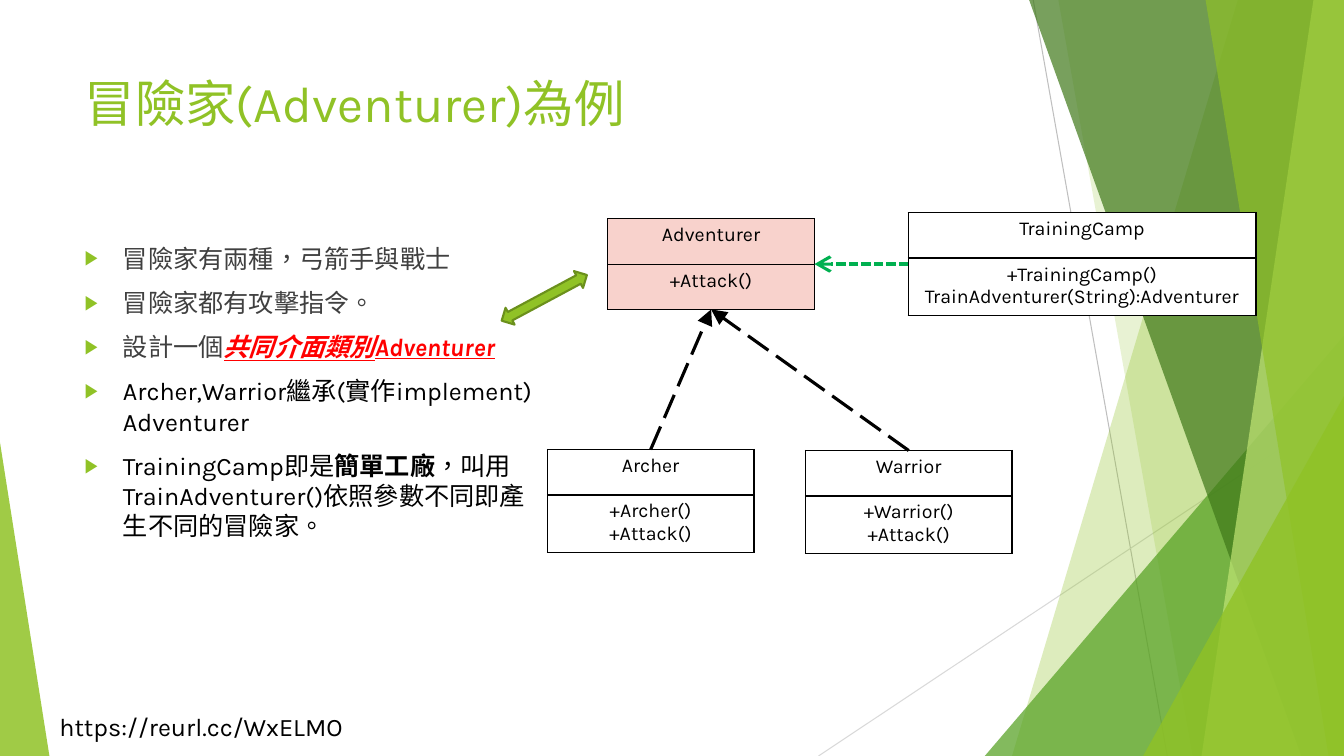
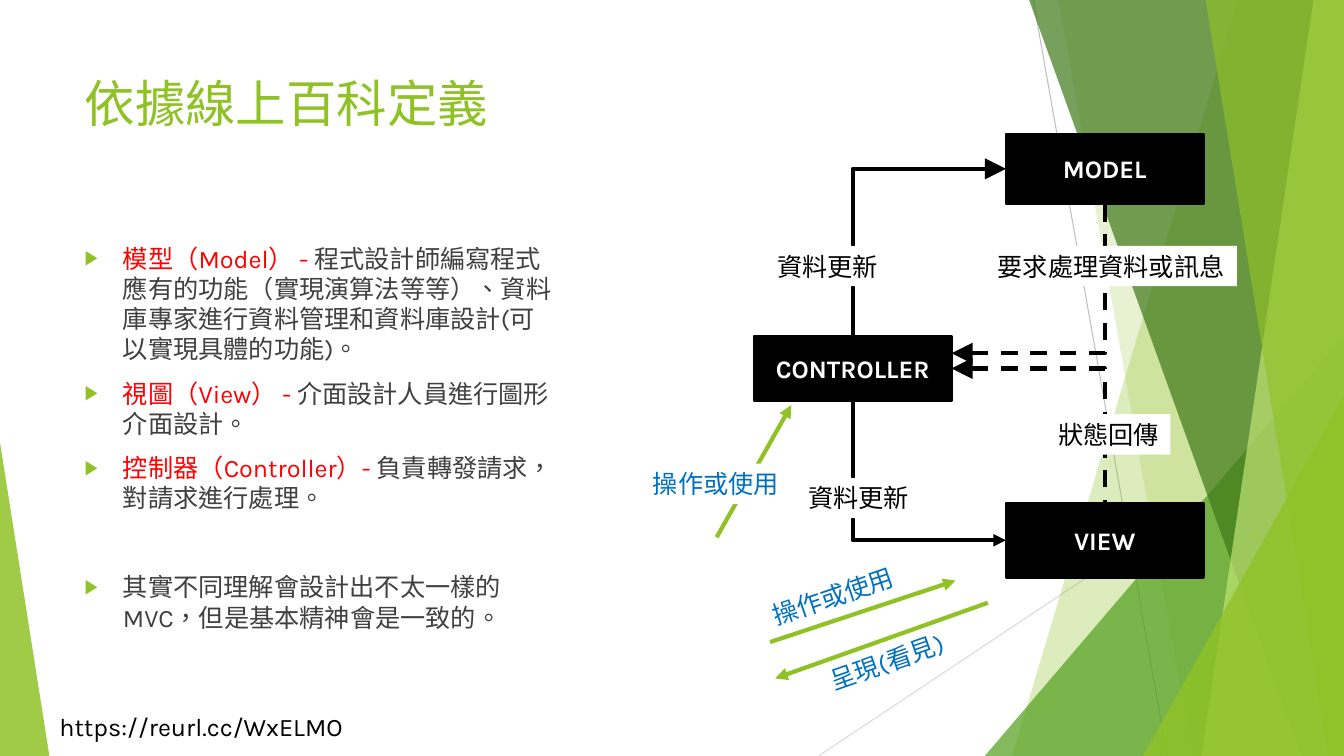
from typing import NamedTuple

from lxml.etree import SubElement
from pptx import Presentation
from pptx.dml.color import RGBColor
from pptx.enum.dml import MSO_LINE as Dash
from pptx.enum.lang import MSO_LANGUAGE_ID as Language
from pptx.enum.shapes import MSO_CONNECTOR as Link, MSO_SHAPE as Preset
from pptx.enum.text import MSO_ANCHOR as Anchor, MSO_AUTO_SIZE as Fit, PP_ALIGN as Align
from pptx.oxml.ns import qn
from pptx.util import Inches, Pt

LEAF, GRASS, FOREST, LIME, MOSS, EMERALD = map(
    RGBColor.from_string, ("90C226", "54A021", "3F7819", "C0E474", "6B901C", "00B050"))
BLACK, INK, SILVER, MIST, WHITE = map(
    RGBColor.from_string, ("000000", "404040", "BFBFBF", "D9D9D9", "FFFFFF"))
RED, BLUE, PINK = map(RGBColor.from_string, ("FF0000", "0070C0", "F8D2CC"))
FONT = "Karla"
CELL = Inches(0.1)
COLUMNS, ROWS = 133.33, 75
TOP, LEFT, BOTTOM, RIGHT = range(4)


class Box(NamedTuple):
    """A rectangle measured in grid cells."""
    left: float
    top: float
    width: float
    height: float

    def inner(self, x, y, width, height):
        """Return a box placed relative to this one."""
        return Box(self.left + x, self.top + y, width, height)

    def side(self, index):
        """Return the middle of a side, numbered as connection sites."""
        x, y = ((0.5, 0), (0, 0.5), (0.5, 1), (1, 0.5))[index]
        return self.left + x * self.width, self.top + y * self.height


SLIDE = Box(0, 0, COLUMNS, ROWS)


def emu(*cells):
    """Turn grid cells into slide lengths."""
    return [round(cell * CELL) for cell in cells]


def style_font(font, size, color, bold=None):
    """Set the shared typeface and language with a size and colour."""
    font.name, font.size, font.bold = FONT, Pt(size), bold
    font.language_id = Language.TRADITIONAL_CHINESE
    font.color.rgb = color


def write(frame, text, size, color, bold=None, align=Align.LEFT, anchor=Anchor.TOP, wrap=True):
    """Fill a text frame with evenly styled text."""
    frame.text = text
    frame.vertical_anchor, frame.word_wrap = anchor, wrap
    for paragraph in frame.paragraphs:
        paragraph.alignment = align
        style_font(paragraph.font, size, color, bold)


def paint(shape, fill, opacity=100, line=None):
    """Give a shape its fill and outline and take its shadow away."""
    shape.shadow.inherit = False
    shape.fill.solid()
    shape.fill.fore_color.rgb = fill
    if opacity < 100:
        color = shape.element.spPr.find(f".//{qn('a:srgbClr')}")
        SubElement(color, qn("a:alpha"), val=str(opacity * 1000))
    if line is None:
        shape.line.fill.background()
    else:
        shape.line.color.rgb, shape.line.width = line, Pt(1.5)


def add_block(slide, box, fill, preset=Preset.RECTANGLE, **look):
    """Add a painted preset shape."""
    block = slide.shapes.add_shape(preset, *emu(*box))
    paint(block, fill, **look)
    return block


def add_link(slide, start, end, color, width, dash=None, arrow=None, size="med",
             tip="tailEnd", kind=Link.STRAIGHT):
    """Add a straight or once-bent line, with an arrowhead at its tip."""
    link = slide.shapes.add_connector(kind, *emu(*start, *end))
    link.line.color.rgb, link.line.width = color, Pt(width)
    if dash is not None:
        link.line.dash_style = dash
    properties = link.element.spPr
    if arrow:
        SubElement(properties.get_or_add_ln(), qn(f"a:{tip}"), type=arrow, w=size, len=size)
    SubElement(properties, qn("a:effectLst"))
    if kind == Link.ELBOW:
        properties.find(qn("a:prstGeom")).set("prst", "bentConnector2")


def add_shard(slide, top_x, bottom_x, color, opacity):
    """Draw a full-height shard reaching the right edge."""
    outline = slide.shapes.build_freeform(*emu(top_x, 0), scale=1.0)
    corners = ((COLUMNS, 0), (COLUMNS, ROWS), (bottom_x, ROWS))
    outline.add_line_segments([emu(*corner) for corner in corners])
    paint(outline.convert_to_shape(), color, opacity)


def add_corner(slide, left, top, width, apex, color, opacity):
    """Draw a right triangle standing on the bottom edge."""
    box = SLIDE.inner(left, top, width, ROWS - top)
    corner = add_block(slide, box, color, Preset.ISOSCELES_TRIANGLE, opacity=opacity)
    corner.adjustments[0] = apex


def dress_layout(layout, slide):
    """Draw the shared backdrop and hand it over to the layout."""
    for holder in list(layout.placeholders)[2:]:
        holder.element.getparent().remove(holder.element)
    add_link(slide, (102.5, 0), (115.8, ROWS), SILVER, 0.75)
    add_link(slide, (COLUMNS, 40.3), (81.2, ROWS), MIST, 0.75)
    add_shard(slide, 122.8, 100.4, LEAF, 30)
    add_shard(slide, 105, 118.3, LEAF, 20)
    add_corner(slide, 97.7, 33.3, 35.63, 1, GRASS, 72)
    add_shard(slide, 102.1, 129.1, FOREST, 70)
    add_shard(slide, 130.3, 119.2, LIME, 70)
    add_shard(slide, 119.6, 131.8, LEAF, 65)
    add_corner(slide, 113.4, 39.3, 19.93, 1, LEAF, 80)
    add_corner(slide, 0, 43.9, 4.9, 0, LEAF, 85)
    address = slide.shapes.add_textbox(*emu(4.9, 70.1, 31.2, 4))
    write(address.text_frame, "https://reurl.cc/WxELMO", 18, BLACK, wrap=False)
    for part in [shape for shape in slide.shapes if not shape.is_placeholder]:
        layout.shapes.element.append(part.element)


def place(holder, box):
    """Move a placeholder into a box and return its text frame."""
    holder.left, holder.top, holder.width, holder.height = emu(*box)
    holder.text_frame.auto_size = Fit.NONE
    return holder.text_frame


def add_bullet(paragraph):
    """Give a paragraph the green arrow bullet and hanging indent."""
    properties = paragraph._p.get_or_add_pPr()
    properties.set("marL", str(Inches(0.38)))
    properties.set("indent", str(-Inches(0.38)))
    SubElement(SubElement(properties, qn("a:buClr")), qn("a:srgbClr"), val=str(LEAF))
    SubElement(properties, qn("a:buSzPct"), val="80000")
    SubElement(properties, qn("a:buChar"), char="▶")


def write_content(slide, title, width, points):
    """Fill the title and the list of (colour, gap before, runs) points."""
    write(place(slide.shapes.title, SLIDE.inner(7.4, 6.7, 94, 14.4)), title, 36, LEAF)
    frame = place(slide.placeholders[1], SLIDE.inner(7.4, 23.6, width, 42.4))
    for index, (color, gap, runs) in enumerate(points):
        paragraph = frame.add_paragraph() if index else frame.paragraphs[0]
        paragraph.space_before = Pt(gap)
        add_bullet(paragraph)
        style_font(paragraph.font, 18, color)
        for text, *accents in runs:
            run = paragraph.add_run()
            run.text = text
            for accent in accents:
                if isinstance(accent, RGBColor):
                    run.font.color.rgb = accent
                else:
                    setattr(run.font, accent, True)


def add_class(slide, box, name, methods, fill=WHITE):
    """Add a class table with its name above its methods."""
    table = slide.shapes.add_table(2, 1, *emu(*box)).table
    table.first_row = table.horz_banding = False
    for row, height, text in zip(table.rows, emu(4.5, box.height - 4.5), (name, methods)):
        row.height = height
        cell = row.cells[0]
        write(cell.text_frame, text, 14, BLACK, align=Align.CENTER)
        properties = cell._tc.get_or_add_tcPr()
        for edge in ("lnL", "lnR", "lnT", "lnB"):
            border = SubElement(properties, qn(f"a:{edge}"), w=str(Pt(1)))
            SubElement(SubElement(border, qn("a:solidFill")), qn("a:srgbClr"), val=str(BLACK))
        cell.fill.solid()
        cell.fill.fore_color.rgb = fill


def draw_class_diagram(slide, box):
    """Draw the adventurer classes and their relations."""
    adventurer = box.inner(11.1, 0.6, 20.5, 9)
    camp = box.inner(40.9, 0, 34.5, 10.2)
    archer = box.inner(5.1, 23.5, 20.5, 10.2)
    warrior = box.inner(30.7, 23.6, 20.5, 10.2)
    add_class(slide, adventurer, "Adventurer", "+Attack()", PINK)
    add_class(slide, camp, "TrainingCamp", "+TrainingCamp()\nTrainAdventurer(String):Adventurer")
    add_class(slide, archer, "Archer", "+Archer()\n+Attack()")
    add_class(slide, warrior, "Warrior", "+Warrior()\n+Attack()")
    for subclass in (archer, warrior):
        add_link(slide, subclass.side(TOP), adventurer.side(BOTTOM), BLACK, 2.25,
                 Dash.LONG_DASH, "triangle", "lg")
    interface = adventurer.side(RIGHT)
    add_link(slide, (camp.left, interface[1]), interface, EMERALD, 2.25,
             Dash.SQUARE_DOT, "arrow", "lg")
    pointer = add_block(slide, box.inner(0, 7.5, 9.6, 1.9), LEAF, Preset.LEFT_RIGHT_ARROW, line=MOSS)
    pointer.rotation = 331.8


def draw_mvc_diagram(slide, box):
    """Draw model, view and controller with the flows between them."""
    model = box.inner(36, 0, 19.6, 6.9)
    view = box.inner(36, 36.6, 19.6, 7.4)
    controller = box.inner(11, 20, 19.6, 6.5)
    add_block(slide, box.inner(34.2, 18.5, 6.9, 6.5), WHITE)
    for role, name in ((model, "MODEL"), (view, "VIEW"), (controller, "CONTROLLER")):
        block = add_block(slide, role, BLACK, line=BLACK)
        write(block.text_frame, name, 18, WHITE, True, Align.CENTER, Anchor.MIDDLE)
    reply_x, reply_y = controller.side(RIGHT)
    for tip, tail, dash, size in (
        (model.side(LEFT), controller.side(TOP), None, "lg"),
        (view.side(LEFT), controller.side(BOTTOM), None, "med"),
        ((reply_x, reply_y - 1.5), model.side(BOTTOM), Dash.DASH, "lg"),
        ((reply_x, reply_y), view.side(TOP), Dash.DASH, "lg"),
    ):
        add_link(slide, tip, tail, BLACK, 3, dash, "triangle", size, "headEnd", Link.ELBOW)
    command, *exchanges = [
        (box.inner(x1, y1, 0, 0)[:2], box.inner(x2, y2, 0, 0)[:2], LEAF, 3, None, "triangle")
        for x1, y1, x2, y2 in ((7.3, 40, 14.7, 26.9), (12.6, 50.4, 31, 44.3), (34.2, 46.5, 13.1, 54))]
    add_link(slide, *command)
    for x, y, width, text, color, rotation in (
        (34.2, 11.1, 24.7, "要求處理資料或訊息", BLACK, 0),
        (12.3, 11.1, 12.1, "資料更新", BLACK, 0),
        (0, 32.7, 14.6, "操作或使用", BLUE, 0),
        (17.3, 50.3, 14, "呈現(看見)", BLUE, 340.8),
        (15.4, 34.1, 12.1, "資料更新", BLACK, 0),
        (40.2, 27.8, 12.1, "狀態回傳", BLACK, 0),
        (11.6, 43.8, 14.6, "操作或使用", BLUE, 341.2),
    ):
        label = add_block(slide, box.inner(x, y, width, 4), WHITE)
        label.rotation = rotation
        write(label.text_frame, text, 18, color, wrap=rotation != 0)
    for exchange in exchanges:
        add_link(slide, *exchange)


def build_adventurer(slide):
    """Build the adventurer example slide."""
    write_content(slide, "冒險家(Adventurer)為例", 46.9, (
        (INK, 0, [("冒險家有兩種，弓箭手與戰士",)]),
        (INK, 10, [("冒險家都有攻擊指令。",)]),
        (INK, 10, [("設計一個",), ("共同介面類別Adventurer", RED, "bold", "italic", "underline")]),
        (BLACK, 10, [("Archer,Warrior繼承(實作implement) Adventurer",)]),
        (BLACK, 10, [("TrainingCamp即是",), ("簡單工廠", "bold"),
                     ("，叫用TrainAdventurer()依照參數不同即產生不同的冒險家。",)]),
    ))
    draw_class_diagram(slide, SLIDE.inner(49.2, 21.1, 75.4, 33.8))


def build_mvc(slide):
    """Build the MVC definition slide."""
    write_content(slide, "依據線上百科定義", 48.5, (
        (INK, 0, [("模型（Model） - ", RED),
                  ("程式設計師編寫程式應有的功能（實現演算法等等）、"
                   "資料庫專家進行資料管理和資料庫設計(可以實現具體的功能)。",)]),
        (INK, 10, [("視圖（View） - ", RED), ("介面設計人員進行圖形介面設計。",)]),
        (INK, 10, [("控制器（Controller）- ", RED), ("負責轉發請求，對請求進行處理。",)]),
        (INK, 42, [("其實不同理解會設計出不太一樣的MVC，但是基本精神會是一致的。",)]),
    ))
    draw_mvc_diagram(slide, SLIDE.inner(63.8, 13.3, 59, 54))


def main():
    """Build and save the presentation."""
    deck = Presentation()
    deck.slide_width, deck.slide_height = emu(COLUMNS, ROWS)
    layout = deck.slide_layouts[1]
    adventurer, mvc = (deck.slides.add_slide(layout) for _ in range(2))
    dress_layout(layout, adventurer)
    build_adventurer(adventurer)
    build_mvc(mvc)
    deck.save("out.pptx")


if __name__ == "__main__":
    main()
